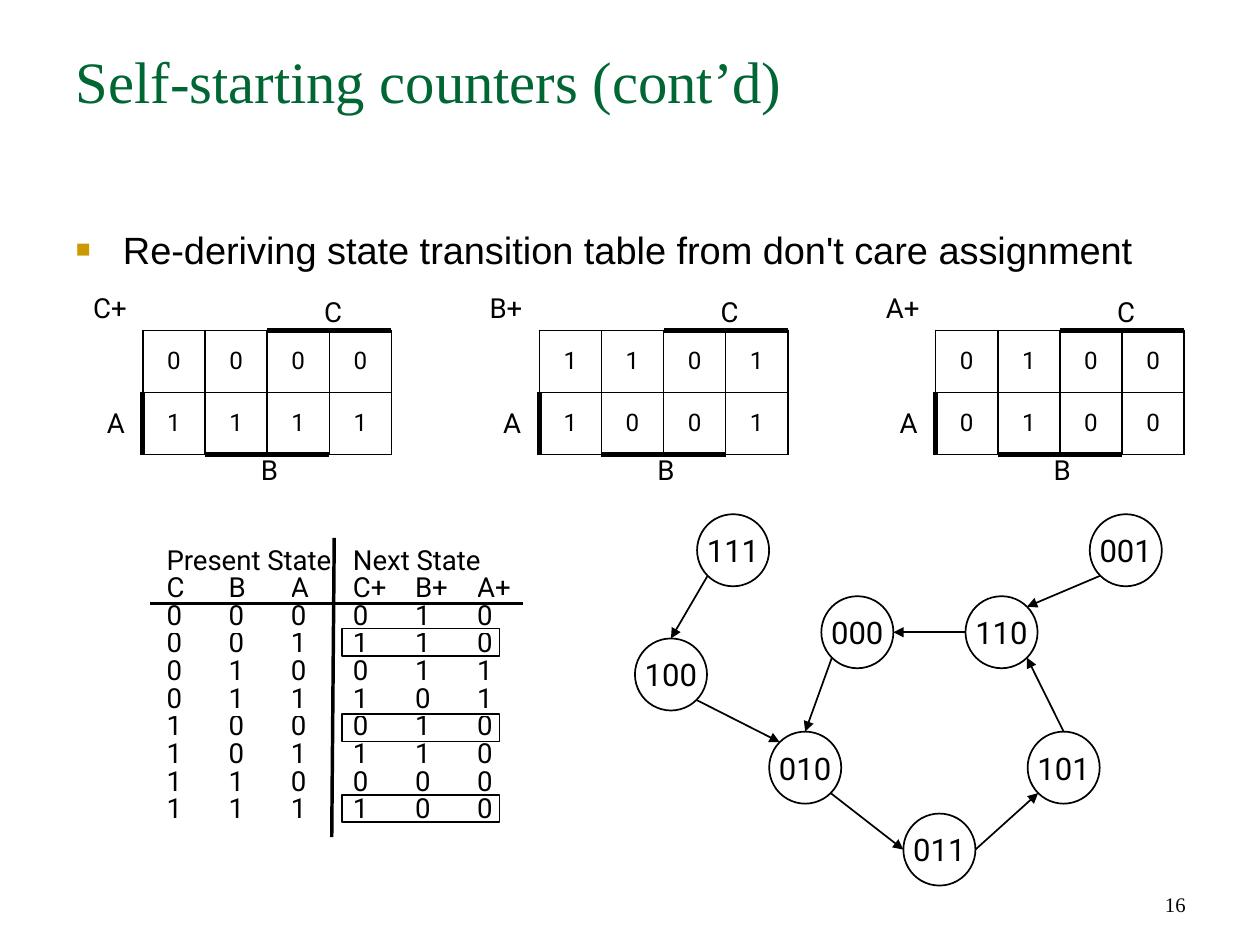
"""Build the slide on self-starting counters with its Karnaugh maps and state diagram."""
from math import cos, radians, sin

from lxml.etree import SubElement
from pptx import Presentation
from pptx.dml.color import RGBColor
from pptx.enum.shapes import MSO_CONNECTOR as CONNECTOR, MSO_SHAPE as SHAPE
from pptx.enum.text import MSO_ANCHOR as ANCHOR, MSO_AUTO_SIZE as AUTO_SIZE, PP_ALIGN as ALIGN
from pptx.oxml.ns import qn
from pptx.util import Inches, Pt

BLACK = RGBColor(0x00, 0x00, 0x00)
GREEN = RGBColor(0x00, 0x66, 0x33)
GOLD = RGBColor(0xCC, 0x99, 0x00)


def write(frame, text, size, font="Roboto", color=BLACK, align=ALIGN.LEFT, spacing=None):
    frame.text = text
    paragraph = frame.paragraphs[0]
    paragraph.alignment = align
    paragraph.line_spacing = spacing
    paragraph.space_before = Pt(0)
    for run in paragraph.runs:
        run.font.name = font
        run.font.size = Pt(size)
        run.font.color.rgb = color


def add_grid(rows, left, top, row_height, size, align, spacing):
    columns = len(rows[0])
    grid = slide.shapes.add_table(
        len(rows), columns, Inches(left), Inches(top),
        Inches(0.5 * columns), Inches(row_height * len(rows))).table
    grid.first_row = grid.horz_banding = False
    for row, values in enumerate(rows):
        for column, value in enumerate(values):
            cell = grid.cell(row, column)
            cell.margin_left = cell.margin_right = cell.margin_top = cell.margin_bottom = 0
            cell.vertical_anchor = ANCHOR.MIDDLE
            cell.fill.background()
            write(cell.text_frame, value, size, align=align, spacing=spacing)
    return grid


prs = Presentation()
prs.slide_width = Inches(10.14)
prs.slide_height = Inches(7.6)
slide = prs.slides.add_slide(prs.slide_layouts[1])

title = slide.shapes.title
body = slide.placeholders[1]
for holder, top, height in ((title, 0.31, 1.26), (body, 1.77, 5.02)):
    holder.left, holder.top = Inches(0.51), Inches(top)
    holder.width, holder.height = Inches(9.12), Inches(height)
    holder.text_frame.vertical_anchor = ANCHOR.TOP
    holder.text_frame.auto_size = AUTO_SIZE.NONE
write(title.text_frame, "Self-starting counters (cont’d)", 34, "Times New Roman", GREEN)
write(body.text_frame, "Re-deriving state transition table from don't care assignment", 22, "Arial")
bullet = body.text_frame.paragraphs[0]._p.get_or_add_pPr()
bullet.set("marL", str(Inches(0.38)))
bullet.set("indent", str(-Inches(0.38)))
SubElement(SubElement(bullet, qn("a:buClr")), qn("a:srgbClr"), val=str(GOLD))
SubElement(bullet, qn("a:buSzPct"), val="65000")
SubElement(bullet, qn("a:buFont"), typeface="Arial")
SubElement(bullet, qn("a:buChar"), char="■")

labels = []
lines = []
MAP_TOP = 2.66
karnaugh_maps = (("C+", ("0000", "1111")), ("B+", ("1101", "1001")), ("A+", ("0100", "0100")))
for index, (output, rows) in enumerate(karnaugh_maps):
    left = 1.15 + 3.19 * index
    karnaugh = add_grid(rows, left, MAP_TOP, 0.5, 14, ALIGN.CENTER, None)
    for cell in karnaugh.iter_cells():
        borders = cell._tc.get_or_add_tcPr()
        for position, side in enumerate(("a:lnL", "a:lnR", "a:lnT", "a:lnB")):
            border = SubElement(borders, qn(side), w=str(Pt(1)))
            SubElement(SubElement(border, qn("a:solidFill")), qn("a:srgbClr"), val=str(BLACK))
            borders.insert(position, border)
    labels += [(output, left - 0.4, 2.39), ("A", left - 0.29, 3.31),
               ("B", left + 0.95, 3.69), ("C", left + 1.46, 2.42)]
    lines += [((left + 1, MAP_TOP), (left + 2, MAP_TOP), 3, False),
              ((left + 0.5, MAP_TOP + 1), (left + 1.5, MAP_TOP + 1), 3, False),
              ((left, MAP_TOP + 0.5), (left, MAP_TOP + 1), 3, False)]

for text, left, top in labels:
    label = slide.shapes.add_textbox(Inches(left), Inches(top), Inches(0.4), Inches(0.25)).text_frame
    label.margin_left = label.margin_right = label.margin_top = label.margin_bottom = 0
    label.word_wrap = True
    write(label, text, 16, spacing=Pt(16))

next_states = ("010", "110", "011", "101", "010", "110", "000", "100")
truth_rows = [("Present State", "", "", "Next State", "", ""), ("C", "B", "A", "C+", "B+", "A+")]
truth_rows += [tuple(f"{state:03b}{following}") for state, following in enumerate(next_states)]
truth_table = add_grid(truth_rows, 1.34, 4.42, 0.222, 16, ALIGN.LEFT, Pt(16))
for column in (0, 3):
    truth_table.cell(0, column).merge(truth_table.cell(0, column + 2))
lines += [((1.21, 4.86), (4.21, 4.86), 2, False), ((2.69, 4.33), (2.67, 6.74), 2, False)]

STATE_SIZE = 0.58
states = {"010": (6.19, 5.89), "000": (6.61, 4.8), "110": (7.77, 4.8), "101": (8.27, 5.89),
          "011": (7.27, 6.55), "001": (8.77, 4.14), "111": (5.61, 4.14), "100": (5.11, 5.14)}
outlines = [(SHAPE.RECTANGLE, "", 2.75, top, 1.27, 0.22) for top in (5.06, 5.75, 6.4)]
outlines += [(SHAPE.OVAL, state, left, top, STATE_SIZE, STATE_SIZE)
             for state, (left, top) in states.items()]
for kind, text, left, top, width, height in outlines:
    outline = slide.shapes.add_shape(kind, Inches(left), Inches(top), Inches(width), Inches(height))
    outline.shadow.inherit = False
    outline.fill.background()
    outline.line.color.rgb = BLACK
    outline.line.width = Pt(1)
    if text:
        outline.text_frame.word_wrap = False
        outline.text_frame.vertical_anchor = ANCHOR.MIDDLE
        write(outline.text_frame, text, 18, align=ALIGN.CENTER)

transitions = (("000", 225, "010", 90), ("010", 315, "011", 180), ("011", 0, "101", 225),
               ("101", 90, "110", 315), ("110", 180, "000", 0), ("001", 225, "110", 45),
               ("111", 225, "100", 90), ("100", 315, "010", 135))
for source, source_angle, target, target_angle in transitions:
    ends = []
    for state, angle in ((source, source_angle), (target, target_angle)):
        left, top = states[state]
        ends.append((left + STATE_SIZE / 2 * (1 + cos(radians(angle))),
                     top + STATE_SIZE / 2 * (1 - sin(radians(angle)))))
    lines.append((*ends, 1, True))

for start, end, width, has_arrow in lines:
    line = slide.shapes.add_connector(
        CONNECTOR.STRAIGHT, *(Inches(value) for value in (*start, *end)))
    line.line.color.rgb = BLACK
    line.line.width = Pt(width)
    properties = line._element.spPr
    if has_arrow:
        SubElement(properties.find(qn("a:ln")), qn("a:tailEnd"), type="triangle")
    SubElement(properties, qn("a:effectLst"))

page_number = slide.shapes.add_textbox(
    Inches(7.27), Inches(6.92), Inches(2.37), Inches(0.51)).text_frame
page_number.word_wrap = True
page_number.vertical_anchor = ANCHOR.BOTTOM
write(page_number, "16", 12, "Times New Roman", align=ALIGN.RIGHT)

prs.save("out.pptx")
